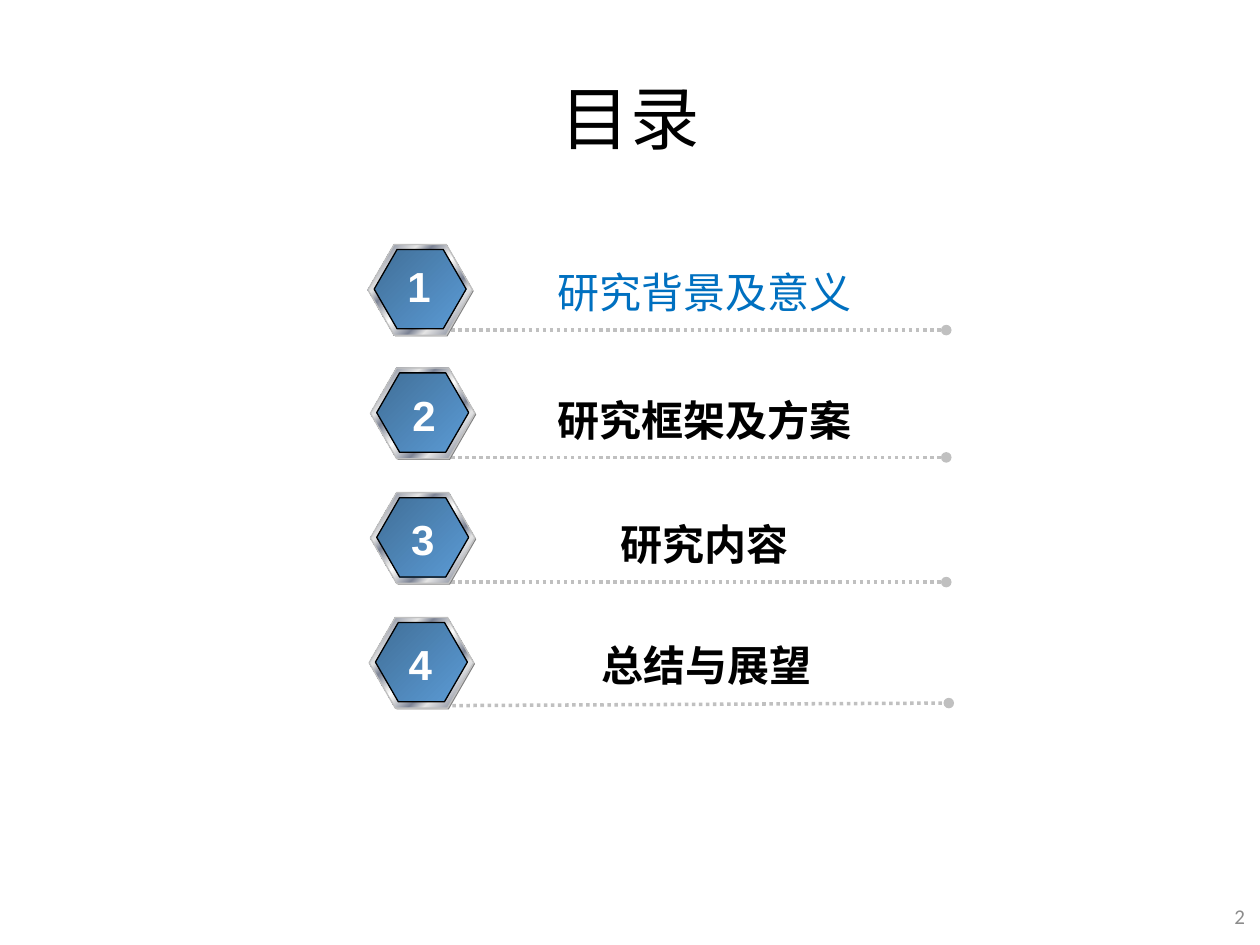
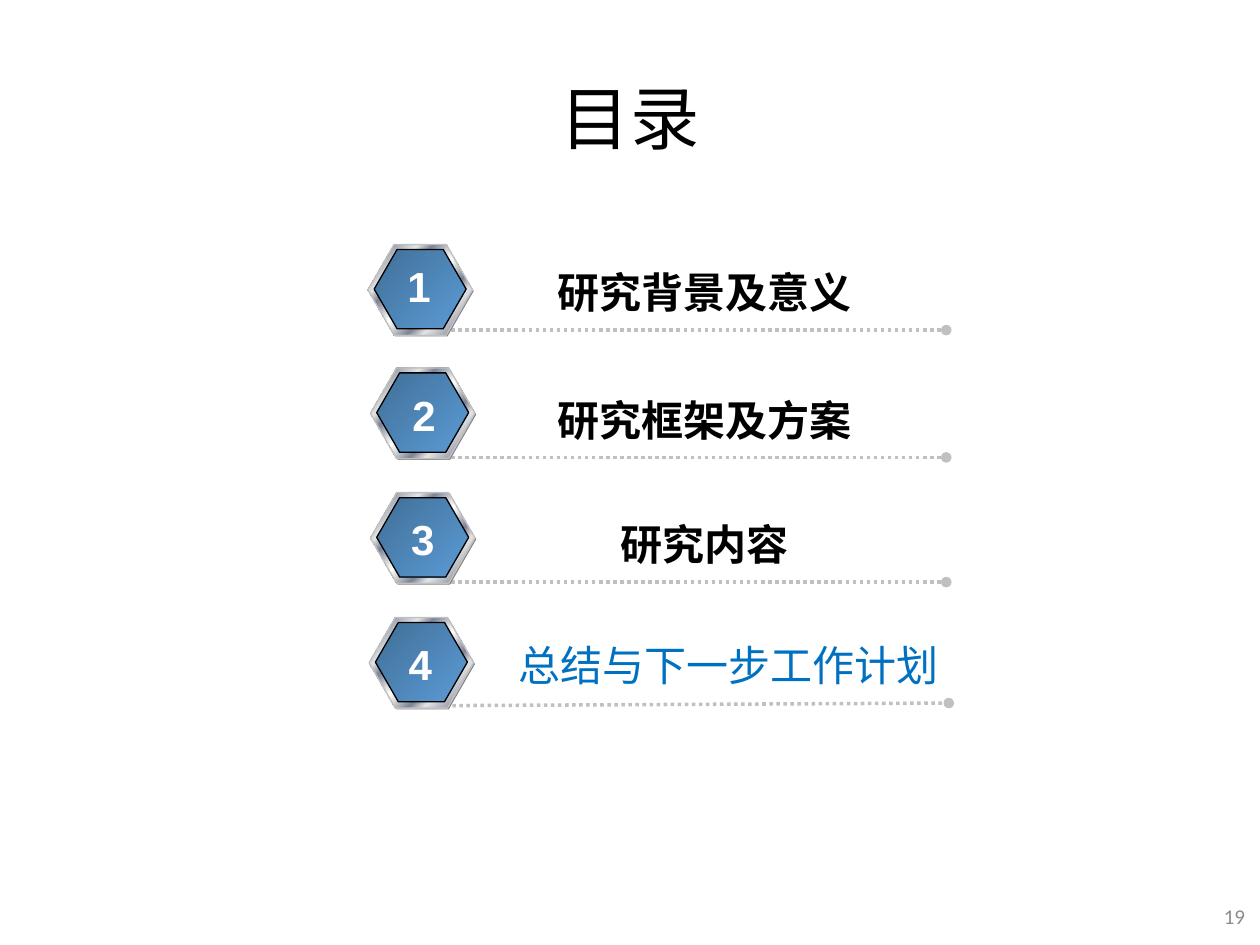
import dataclasses

import pptx
import pptx.dml.color
import pptx.enum.dml
import pptx.enum.shapes
import pptx.enum.text
import pptx.oxml
import pptx.oxml.ns
import pptx.util

Inches = pptx.util.Inches
Pt = pptx.util.Pt
qn = pptx.oxml.ns.qn
Align = pptx.enum.text.PP_ALIGN
Anchor = pptx.enum.text.MSO_ANCHOR


@dataclasses.dataclass(frozen=True)
class Theme:
    black: str = "000000"
    white: str = "FFFFFF"
    active: str = "0070C0"
    page_number: str = "8C8C8C"
    rule: str = "C0C0C0"
    badge_shade: str = "808080"
    metal: tuple = (
        (0, "E6E6E6"), (8, "7D8496"), (26, "E6E6E6"), (34, "7D8496"),
        (46, "E6E6E6"), (50, "FFFFFF"), (54, "E6E6E6"), (66, "7D8496"),
        (74, "E6E6E6"), (92, "7D8496"), (100, "E6E6E6"),
    )
    blue: tuple = ((0, "416F98"), (100, "5B9BD5"))
    body_font: str = "Calibri"
    number_font: str = "Arial"
    chinese_font: str = "Noto Sans CJK SC"
    title_size: float = 39.6
    entry_size: float = 24
    page_size: float = 12


@dataclasses.dataclass(frozen=True)
class Row:
    badge: tuple
    number: tuple
    rule_start: tuple
    rule_end: tuple


THEME = Theme()
ROWS = (
    Row((2.92, 1.94), (3.13, 2.02), (3.58, 2.62), (7.51, 2.62)),
    Row((2.94, 2.92), (3.17, 3.04), (3.58, 3.63), (7.51, 3.63)),
    Row((2.94, 3.91), (3.16, 4.03), (3.58, 4.62), (7.51, 4.62)),
    Row((2.93, 4.90), (3.14, 5.02), (3.59, 5.60), (7.53, 5.58)),
)


def rgb(value):
    return pptx.dml.color.RGBColor.from_string(value)


def write(shape, text, size, color, font, align, bold=False):
    paragraph = shape.text_frame.paragraphs[0]
    paragraph.alignment = align
    run = paragraph.add_run()
    run.text = text
    run.font.size = Pt(size)
    run.font.bold = bold
    run.font.color.rgb = rgb(color)
    run.font.name = font
    properties = run.font._element
    east_asian = properties.makeelement(qn("a:ea"), {"typeface": THEME.chinese_font})
    properties.append(east_asian)
    return paragraph


def add_text(shapes, box, *style, anchor=Anchor.TOP, wrap=True, bold=False):
    shape = shapes.add_textbox(*map(Inches, box))
    shape.text_frame.word_wrap = wrap
    shape.text_frame.vertical_anchor = anchor
    write(shape, *style, bold=bold)


def set_gradient(shape, stops):
    shape.fill.gradient()
    shape.fill.gradient_angle = 315
    stop_list = shape._element.spPr.find(qn("a:gradFill")).find(qn("a:gsLst"))
    stop_list.clear()
    for position, color in stops:
        stop = stop_list.makeelement(qn("a:gs"), {"pos": str(position * 1000)})
        stop.append(stop.makeelement(qn("a:srgbClr"), {"val": color}))
        stop_list.append(stop)


def add_hexagon(shapes, box, fill, line=None):
    shape = shapes.add_shape(pptx.enum.shapes.MSO_SHAPE.HEXAGON, *map(Inches, box))
    shape.shadow.inherit = False
    shape.adjustments[0] = 0.289
    shape.adjustments[1] = 1.155
    if isinstance(fill, tuple):
        set_gradient(shape, fill)
    else:
        shape.fill.solid()
        shape.fill.fore_color.rgb = rgb(fill)
    if line:
        shape.line.color.rgb = rgb(line)
        shape.line.width = Pt(0.75)
    else:
        shape.line.fill.background()


def add_badge(slide, row, number):
    left, top = row.badge
    shapes = slide.shapes.add_group_shape().shapes
    add_hexagon(shapes, (left + 0.01, top + 0.01, 0.83, 0.72), THEME.badge_shade)
    add_hexagon(shapes, (left, top, 0.83, 0.72), THEME.metal, THEME.rule)
    add_hexagon(shapes, (left + 0.05, top + 0.04, 0.73, 0.63), THEME.blue, THEME.black)
    add_text(shapes, (*row.number, 0.39, 0.5), str(number), THEME.entry_size,
             THEME.white, THEME.number_font, Align.CENTER, wrap=False, bold=True)


def add_rule(slide, start, end):
    connector = slide.shapes.add_connector(
        pptx.enum.shapes.MSO_CONNECTOR.STRAIGHT, *map(Inches, (*start, *end)))
    connector.line.color.rgb = rgb(THEME.rule)
    connector.line.width = Pt(2)
    connector.line.dash_style = pptx.enum.dml.MSO_LINE.ROUND_DOT
    properties = connector._element.spPr
    line = properties.find(qn("a:ln"))
    line.append(line.makeelement(qn("a:tailEnd"), {"type": "oval"}))
    properties.append(properties.makeelement(qn("a:effectLst"), {}))


def add_entry(slide, row, number, label, active, width):
    add_rule(slide, row.rule_start, row.rule_end)
    box = (row.rule_start[0] + 0.25, row.rule_end[1] - 0.55, width, 0.5)
    add_text(slide.shapes, box, label, THEME.entry_size,
             THEME.active if active else THEME.black,
             THEME.chinese_font, Align.CENTER, bold=not active)
    add_badge(slide, row, number)


def set_title(slide, text):
    title = slide.shapes.title
    title.left, title.top, title.width, title.height = map(Inches, (0.5, 0.57, 9, 0.79))
    title.text_frame.auto_size = pptx.enum.text.MSO_AUTO_SIZE.NONE
    title.text_frame.vertical_anchor = Anchor.MIDDLE
    paragraph = write(title, text, THEME.title_size, THEME.black,
                      THEME.body_font, Align.CENTER)
    paragraph.line_spacing = 0.9


def add_contents_slide(presentation, page, labels, active, last_width=3.53):
    slide = presentation.slides.add_slide(presentation.slide_layouts[5])
    set_title(slide, "目录")
    for number, (row, label) in enumerate(zip(ROWS, labels), 1):
        width = last_width if number == len(ROWS) else 3.53
        add_entry(slide, row, number, label, number == active, width)
    add_text(slide.shapes, (7.73, 7.07, 2.25, 0.4), str(page), THEME.page_size,
             THEME.page_number, THEME.body_font, Align.RIGHT, anchor=Anchor.MIDDLE)


def main():
    presentation = pptx.Presentation()
    presentation.slide_width = Inches(10)
    presentation.slide_height = Inches(7.5)
    shared = ("研究背景及意义", "研究框架及方案", "研究内容")
    add_contents_slide(presentation, 2, (*shared, "总结与展望"), active=1)
    add_contents_slide(presentation, 19, (*shared, "总结与下一步工作计划"),
                       active=4, last_width=3.89)
    presentation.save("out.pptx")


if __name__ == "__main__":
    main()
